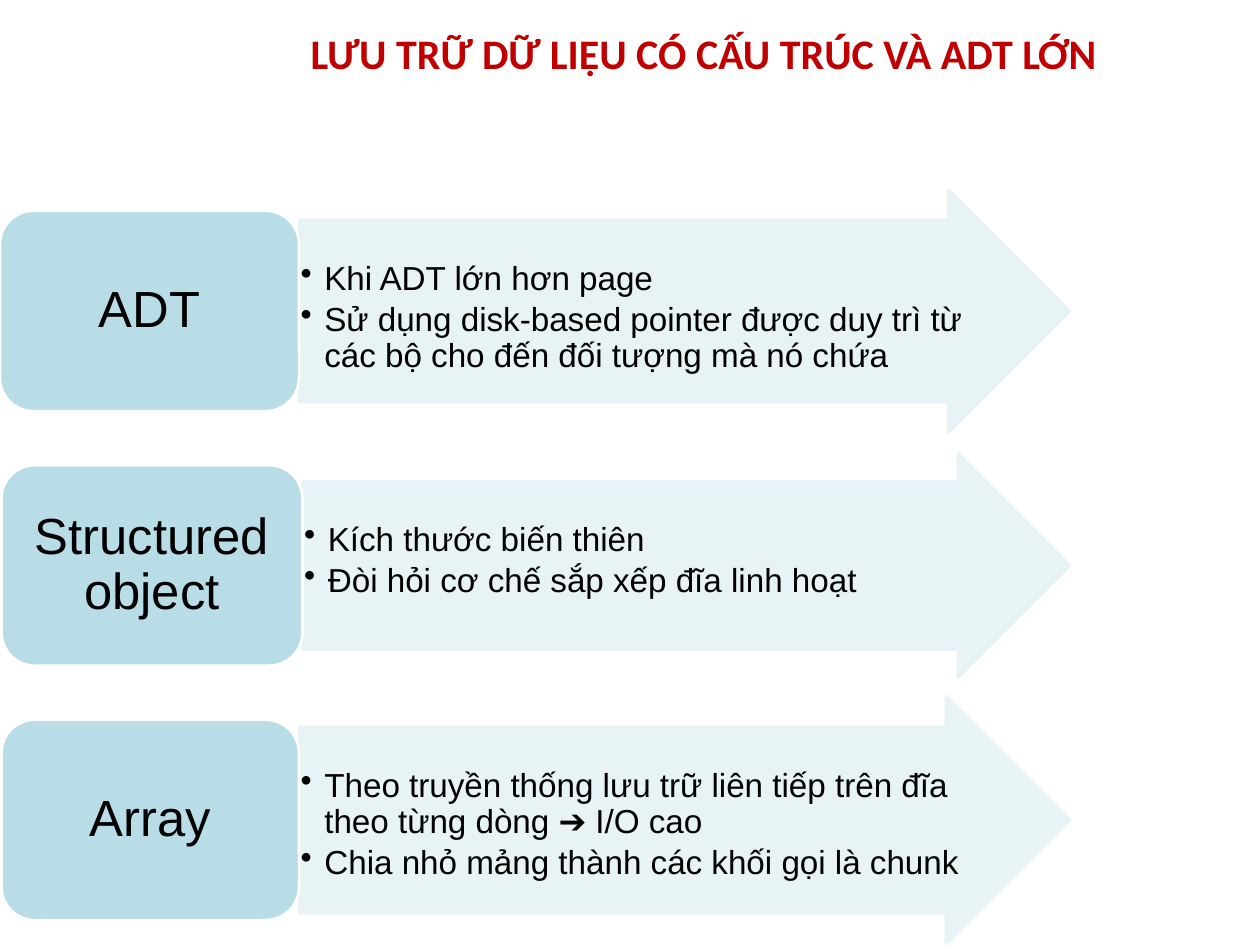
import pptx
import pptx.dml.color
import pptx.enum.shapes
import pptx.enum.text
import pptx.oxml
import pptx.oxml.ns
import pptx.util
from lxml import etree

Cm = pptx.util.Cm
Pt = pptx.util.Pt
SHAPES = pptx.enum.shapes.MSO_SHAPE
ALIGN = pptx.enum.text.PP_ALIGN
ANCHOR = pptx.enum.text.MSO_ANCHOR
qn = pptx.oxml.ns.qn

COLORS = {
    "title": "C00000",
    "arrow": "E6F2F6",
    "label": "B8DDE7",
    "edge": "FFFFFF",
    "text": "000000",
}

FIRST_CENTER, ROW_PITCH = 6.27, 5.13
LABEL_HEIGHT, ARROW_TIP = 4.04, 21.57

# label, label left, label right, arrow height, points
ROWS = [
    ("ADT", 0, 6.03, 4.9, [
        "Khi ADT lớn hơn page",
        "Sử dụng disk-based pointer được duy trì từ các bộ cho đến đối tượng mà nó chứa",
    ]),
    ("Structured object", 0.03, 6.1, 4.52, [
        "Kích thước biến thiên",
        "Đòi hỏi cơ chế sắp xếp đĩa linh hoạt",
    ]),
    ("Array", 0.03, 6.03, 5, [
        "Theo truyền thống lưu trữ liên tiếp trên đĩa theo từng dòng ➔ I/O cao",
        "Chia nhỏ mảng thành các khối gọi là chunk",
    ]),
]


def rgb(name):
    return pptx.dml.color.RGBColor.from_string(COLORS[name])


def add_text(para, text, font, size, color, bold=False):
    span = para.add_run()
    span.text = text
    span.font.name = font
    span.font.size = Pt(size)
    span.font.bold = bold
    span.font.color.rgb = rgb(color)


def set_insets(frame, left, top, right, bottom):
    frame.margin_left, frame.margin_top = Cm(left), Cm(top)
    frame.margin_right, frame.margin_bottom = Cm(right), Cm(bottom)


def add_block(page, kind, left, center, width, height, fill, line):
    """Add a filled shape centred vertically on the given height."""
    block = page.shapes.add_shape(
        kind, Cm(left), Cm(center - height / 2), Cm(width), Cm(height))
    block.shadow.inherit = False
    block.fill.solid()
    block.fill.fore_color.rgb = rgb(fill)
    block.line.color.rgb = rgb(line)
    block.line.width = Pt(1.5)
    block.text_frame.word_wrap = True
    return block


def set_opacity(shape, percent):
    for color in shape.element.spPr.iter(qn("a:srgbClr")):
        etree.SubElement(color, qn("a:alpha"), val=str(percent * 1000))


def make_bullet(para):
    properties = para._p.get_or_add_pPr()
    properties.set("marL", str(Cm(0.48)))
    properties.set("indent", str(-Cm(0.48)))
    etree.SubElement(properties, qn("a:buChar"), char="•")


def add_title(page, text):
    title = page.shapes.title
    title.left, title.top = Cm(4.24), Cm(0.33)
    title.width, title.height = Cm(19.89), Cm(1.47)
    frame = title.text_frame
    frame.auto_size = pptx.enum.text.MSO_AUTO_SIZE.NONE
    frame.vertical_anchor = ANCHOR.MIDDLE
    para = frame.paragraphs[0]
    para.alignment = ALIGN.CENTER
    add_text(para, text, "Calibri", 24, "title", bold=True)


def add_arrow(page, left, center, height, points):
    arrow = add_block(page, SHAPES.RIGHT_ARROW, left, center,
                      ARROW_TIP - left, height, "arrow", "arrow")
    arrow.adjustments[0] = 0.75
    arrow.adjustments[1] = 0.5
    set_opacity(arrow, 90)
    frame = arrow.text_frame
    frame.vertical_anchor = ANCHOR.TOP
    set_insets(frame, 0.03, 0.84, 0.03, 0.03)
    for index, point in enumerate(points):
        para = frame.add_paragraph() if index else frame.paragraphs[0]
        para.alignment = ALIGN.LEFT
        para.line_spacing = 0.9
        para.space_after = Pt(2.85)
        make_bullet(para)
        add_text(para, point, "Arial", 19, "text")


def add_label(page, left, right, center, text):
    label = add_block(page, SHAPES.ROUNDED_RECTANGLE, left, center,
                      right - left, LABEL_HEIGHT, "label", "edge")
    frame = label.text_frame
    frame.vertical_anchor = ANCHOR.MIDDLE
    set_insets(frame, 0.3, 0.15, 0.3, 0.15)
    para = frame.paragraphs[0]
    para.alignment = ALIGN.CENTER
    para.line_spacing = 0.9
    add_text(para, text, "Arial", 29, "text")


def main():
    deck = pptx.Presentation()
    deck.slide_width, deck.slide_height = Cm(25.4), Cm(19.05)
    page = deck.slides.add_slide(deck.slide_layouts.get_by_name("Title Only"))
    add_title(page, "LƯU TRỮ DỮ LIỆU CÓ CẤU TRÚC VÀ ADT LỚN")
    for index, (name, left, right, arrow_height, points) in enumerate(ROWS):
        center = FIRST_CENTER + index * ROW_PITCH
        add_arrow(page, right, center, arrow_height, points)
        add_label(page, left, right, center, name)
    deck.save("out.pptx")


if __name__ == "__main__":
    main()
